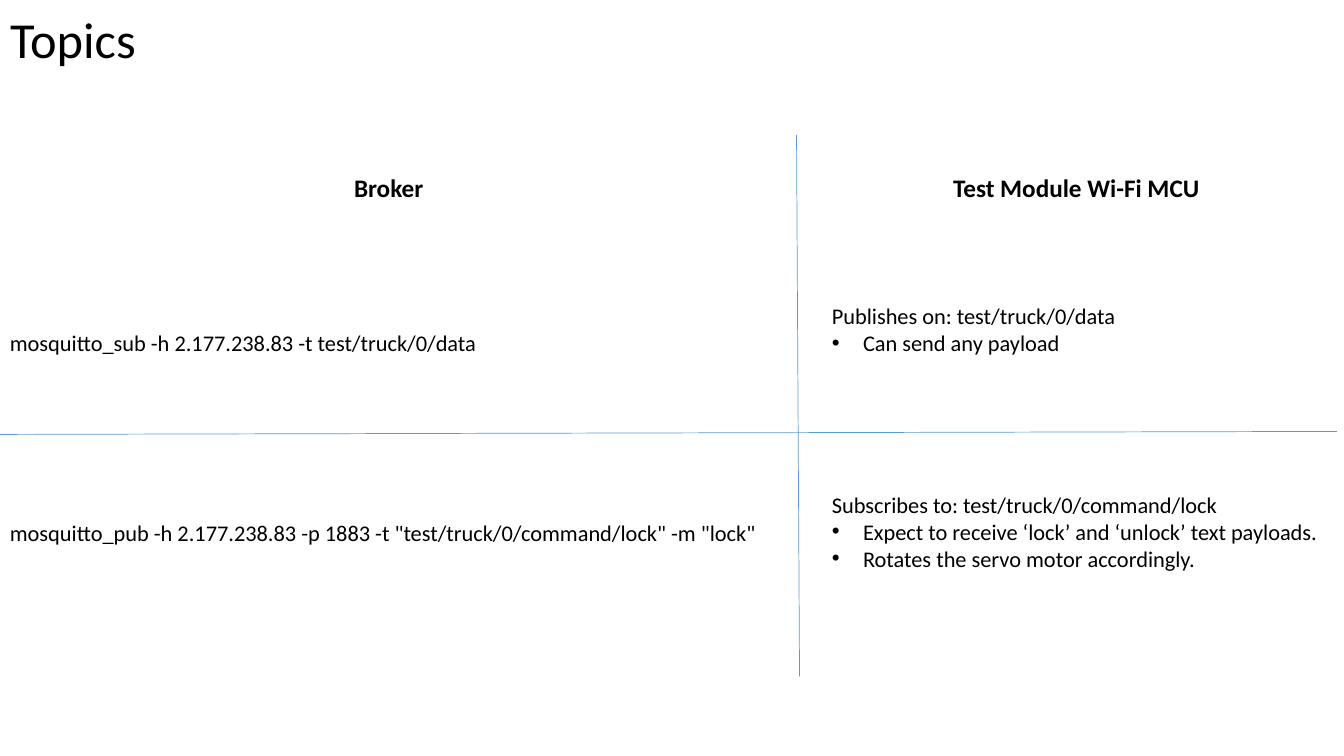
from lxml import etree
from pptx import Presentation
from pptx import util as u
from pptx.dml.color import RGBColor
from pptx.enum import shapes, text
from pptx.oxml import ns

WIDTH, HEIGHT = 13.33, 7.5
BROKER = (0, 7.71)  # left and width of each column
MODULE = (8.15, 5.05)
INDENT = 0.31
BLACK, BLUE = "000000", "5B9BD5"


def color(hex_code):
    return RGBColor.from_string(hex_code)


def place(box, column, top, height):
    box.left, box.width = (u.Inches(length) for length in column)
    box.top, box.height = u.Inches(top), u.Inches(height)


def format_para(para, size, align=text.PP_ALIGN.LEFT, bold=False):
    para.alignment = align
    para.space_before = u.Pt(0)
    para.font.name = "Calibri"
    para.font.size = u.Pt(size)
    para.font.bold = bold
    para.font.color.rgb = color(BLACK)


def set_bullet(para, char=None):
    """Give the paragraph a hanging bullet, or none at all."""
    indent = u.Inches(INDENT) if char else 0
    props = para._p.get_or_add_pPr()
    props.set("marL", str(indent))
    props.set("indent", str(-indent))
    if char:
        font = etree.SubElement(props, ns.qn("a:buFont"))
        font.set("typeface", "Arial")
        etree.SubElement(props, ns.qn("a:buChar")).set("char", char)
    else:
        etree.SubElement(props, ns.qn("a:buNone"))
    # Bullets must come before the default run properties
    props.append(props.find(ns.qn("a:defRPr")))


def add_title(page, words):
    title = page.shapes.title
    place(title, (0, 12.87), 0.05, 0.73)
    title.text_frame.text = words
    title.text_frame.vertical_anchor = text.MSO_ANCHOR.MIDDLE
    para = title.text_frame.paragraphs[0]
    format_para(para, 36)
    para.line_spacing = 0.9


def add_label(page, words, column, top, size, **style):
    box = page.shapes.add_textbox(0, 0, 0, 0)
    place(box, column, top, 0.4)
    box.text_frame.word_wrap = True
    box.text_frame.text = words
    format_para(box.text_frame.paragraphs[0], size, **style)


def fill_list(box, top, lead, points):
    place(box, MODULE, top, 1.2)
    frame = box.text_frame
    frame.auto_size = text.MSO_AUTO_SIZE.NONE
    frame.vertical_anchor = text.MSO_ANCHOR.TOP
    frame.margin_right = 0
    frame.text = "\n".join([lead, *points])
    for number, para in enumerate(frame.paragraphs):
        format_para(para, 16)
        set_bullet(para, "•" if number else None)


def add_divider(page, start, end):
    ends = [u.Inches(length) for length in (*start, *end)]
    line = page.shapes.add_connector(shapes.MSO_CONNECTOR.STRAIGHT, *ends)
    line.line.color.rgb = color(BLUE)
    line.line.width = u.Pt(0.5)
    etree.SubElement(line._element.spPr, ns.qn("a:effectLst"))


def main():
    deck = Presentation()
    deck.slide_width, deck.slide_height = u.Inches(WIDTH), u.Inches(HEIGHT)
    page = deck.slides.add_slide(deck.slide_layouts[3])  # title and two lists

    # Title and column headings
    add_title(page, "Topics")
    for words, column in (("Broker", BROKER), ("Test Module Wi-Fi MCU", MODULE)):
        add_label(page, words, column, 1.66, 18,
                  align=text.PP_ALIGN.CENTER, bold=True)

    # One row per topic: broker command and module behaviour
    topics = [
        (3.22, "mosquitto_sub -h 2.177.238.83 -t test/truck/0/data",
         2.95, "Publishes on: test/truck/0/data", ["Can send any payload"]),
        (5.1, 'mosquitto_pub -h 2.177.238.83 -p 1883 '
              '-t "test/truck/0/command/lock" -m "lock"',
         4.82, "Subscribes to: test/truck/0/command/lock",
         ["Expect to receive ‘lock’ and ‘unlock’ text payloads.",
          "Rotates the servo motor accordingly."]),
    ]
    for index, (command_top, command, list_top, lead, points) in enumerate(topics, 1):
        add_label(page, command, BROKER, command_top, 16)
        fill_list(page.placeholders[index], list_top, lead, points)

    # Dividers
    add_divider(page, (0, 4.31), (13.26, 4.28))
    add_divider(page, (7.93, 6.71), (7.9, 1.34))

    deck.save("out.pptx")


if __name__ == "__main__":
    main()
